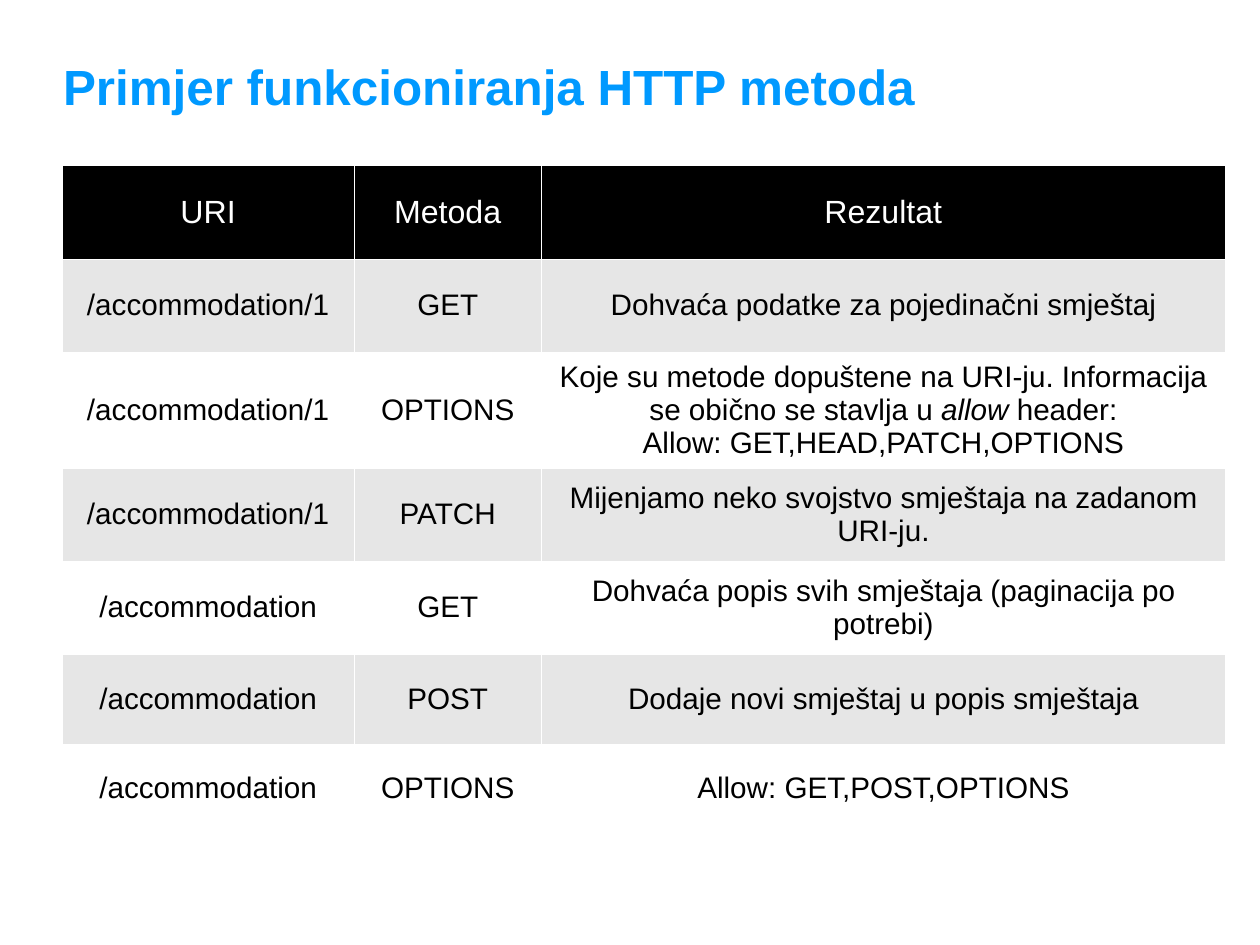
import pptx
import pptx.dml.color
import pptx.enum.text
import pptx.oxml
import pptx.oxml.ns
import pptx.util
from dataclasses import dataclass

Inches = pptx.util.Inches
ALIGN = pptx.enum.text.PP_ALIGN
MIDDLE = pptx.enum.text.MSO_ANCHOR.MIDDLE


@dataclass(frozen=True)
class Theme:
    font: str = "Arial"
    title: str = "0099FF"
    head: str = "000000"
    ink: str = "000000"
    light: str = "FFFFFF"
    band: str = "E6E6E6"
    title_size: int = 40
    head_size: int = 26
    body_size: int = 24
    rule: float = 0.06


COLS = [3.28, 2.11, 7.69]
ROWS = [1.05, 1.05, 1.3, 1.05, 1.05, 1.01, 1]
HEADS = ["URI", "Metoda", "Rezultat"]
CALLS = [
    ["/accommodation/1", "GET", "Dohvaća podatke za pojedinačni smještaj"],
    ["/accommodation/1", "OPTIONS",
     "Koje su metode dopuštene na URI-ju. Informacija se obično se stavlja u "
     "*allow* header:\nAllow: GET,HEAD,PATCH,OPTIONS"],
    ["/accommodation/1", "PATCH",
     "Mijenjamo neko svojstvo smještaja na zadanom URI-ju."],
    ["/accommodation", "GET",
     "Dohvaća popis svih smještaja (paginacija po potrebi)"],
    ["/accommodation", "POST", "Dodaje novi smještaj u popis smještaja"],
    ["/accommodation", "OPTIONS", "Allow: GET,POST,OPTIONS"],
]


def rgb(code):
    return pptx.dml.color.RGBColor.from_string(code)


def write(frame, text, *, font, size, color, bold=False, align=ALIGN.LEFT):
    """Fill a text frame; newlines split paragraphs, *stars* mark italics."""
    for n, line in enumerate(text.split("\n")):
        para = frame.add_paragraph() if n else frame.paragraphs[0]
        para.alignment = align
        for k, part in enumerate(line.split("*")):
            run = para.add_run()
            run.text = part
            run.font.name = font
            run.font.size = pptx.util.Pt(size)
            run.font.color.rgb = rgb(color)
            run.font.bold = bold
            run.font.italic = k % 2 == 1


def edge(cell, color, width):
    """Draw all four borders, ahead of the cell fill as the schema asks."""
    props = cell._tc.get_or_add_tcPr()
    for n, side in enumerate(("lnL", "lnR", "lnT", "lnB")):
        props.insert(n, pptx.oxml.parse_xml(
            f'<a:{side} {pptx.oxml.ns.nsdecls("a")} w="{pptx.util.Pt(width)}">'
            f'<a:solidFill><a:srgbClr val="{color}"/></a:solidFill></a:{side}>'))


class Page:
    def __init__(self, deck, theme):
        self.theme = theme
        self.slide = deck.slides.add_slide(deck.slide_layouts[6])

    def title(self, text, left, top, width, height):
        look = self.theme
        box = self.slide.shapes.add_textbox(
            Inches(left), Inches(top), Inches(width), Inches(height))
        frame = box.text_frame
        frame.word_wrap = True
        frame.vertical_anchor = MIDDLE
        frame.margin_left = frame.margin_right = 0
        frame.margin_top = frame.margin_bottom = 0
        write(frame, text, font=look.font, size=look.title_size,
              color=look.title, bold=True)

    def table(self, data, left, top, cols, rows):
        grid = self.slide.shapes.add_table(
            len(rows), len(cols), Inches(left), Inches(top),
            Inches(sum(cols)), Inches(sum(rows))).table
        for col, width in zip(grid.columns, cols):
            col.width = Inches(width)
        for row, height in zip(grid.rows, rows):
            row.height = Inches(height)
        for r, line in enumerate(data):
            for c, text in enumerate(line):
                self.cell(grid.cell(r, c), text, r)

    def cell(self, cell, text, row):
        look = self.theme
        if row == 0:
            fill, ink, size = look.head, look.light, look.head_size
        else:
            fill = look.band if row % 2 else look.light
            ink, size = look.ink, look.body_size
        cell.fill.solid()
        cell.fill.fore_color.rgb = rgb(fill)
        cell.vertical_anchor = MIDDLE
        edge(cell, look.light, look.rule)
        write(cell.text_frame, text, font=look.font, size=size, color=ink,
              align=ALIGN.CENTER)


def main():
    deck = pptx.Presentation()
    deck.slide_width = Inches(14.17)
    deck.slide_height = Inches(10.63)
    page = Page(deck, Theme())
    page.title("Primjer funkcioniranja HTTP metoda", 0.71, 0.47, 10.16, 0.99)
    page.table([HEADS] + CALLS, 0.7, 1.86, COLS, ROWS)
    deck.save("out.pptx")


if __name__ == "__main__":
    main()
